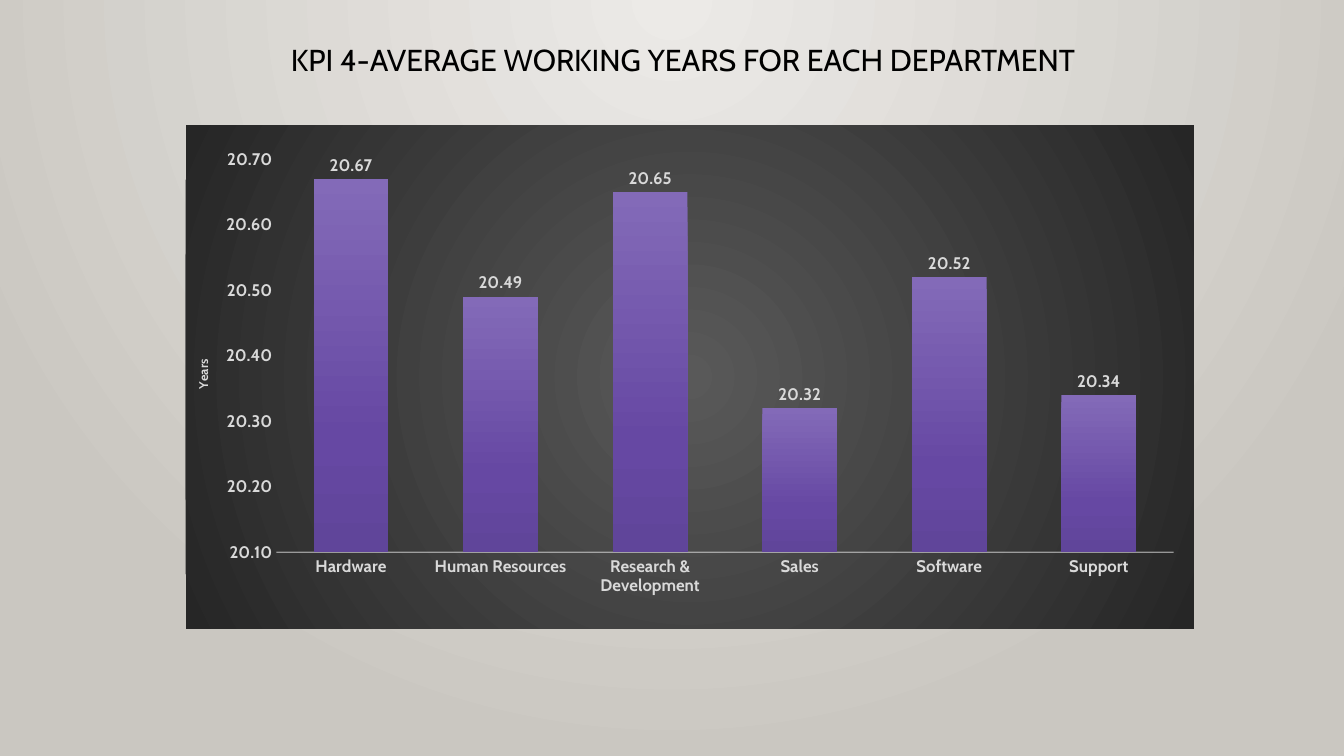
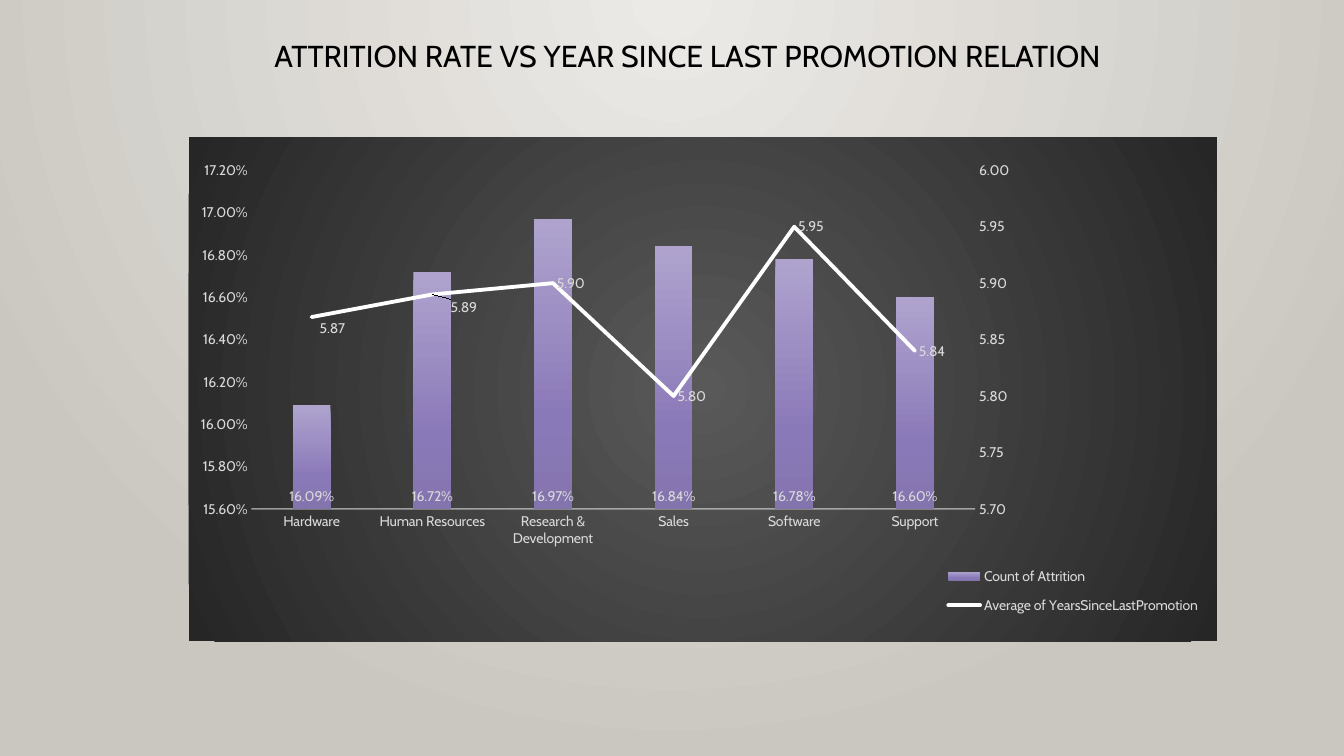
from pptx import Presentation
from pptx.chart.data import CategoryChartData
from pptx.dml.color import RGBColor
from pptx.enum.chart import XL_CHART_TYPE, XL_LABEL_POSITION, XL_LEGEND_POSITION, XL_MARKER_STYLE, XL_TICK_MARK
from pptx.enum.text import MSO_ANCHOR, MSO_AUTO_SIZE, PP_ALIGN
from pptx.oxml import parse_xml
from pptx.oxml.ns import nsdecls
from pptx.util import Inches, Pt

COLUMN = XL_CHART_TYPE.COLUMN_CLUSTERED
OUTSIDE_END = XL_LABEL_POSITION.OUTSIDE_END
INSIDE_BASE = XL_LABEL_POSITION.INSIDE_BASE
LABEL_RIGHT = XL_LABEL_POSITION.RIGHT
NO_TICK = XL_TICK_MARK.NONE

FONT = "Cabin"
BLACK, WHITE, LIGHT_GRAY, AXIS_GRAY = "000000", "FFFFFF", "D9D9D9", "F2F2F2"
BACKGROUND_STOPS = [(0, "ECEAE7"), (100, "CAC7C1")]
PANEL_STOPS = [(0, "595959"), (100, "262626")]
DEPARTMENTS = ["Hardware", "Human Resources", "Research & Development",
               "Sales", "Software", "Support"]
color = RGBColor.from_string


def gradient_fill(stops, center=None):
    """Return a gradFill: circular around center (l, t, r, b), or top to bottom."""
    stop_xml = "".join(
        f'<a:gs pos="{position * 1000}"><a:srgbClr val="{value}"/></a:gs>'
        for position, value in stops)
    if center:
        sides = " ".join(f'{side}="{share * 1000}"' for side, share in zip("ltrb", center))
        direction = f'<a:path path="circle"><a:fillToRect {sides}/></a:path>'
    else:
        direction = '<a:lin ang="5400000" scaled="0"/>'
    return parse_xml(f'<a:gradFill {nsdecls("a")} rotWithShape="1">'
                     f'<a:gsLst>{stop_xml}</a:gsLst>{direction}</a:gradFill>')


def manual_layout(x, y, width=None, height=None, inner=False, offset=False):
    """Return a chart layout in shares of the chart, or an offset from the default place."""
    parts = ['<c:layoutTarget val="inner"/>'] if inner else []
    if not offset:
        parts.append('<c:xMode val="edge"/><c:yMode val="edge"/>')
    parts.append(f'<c:x val="{x}"/><c:y val="{y}"/>')
    if width:
        parts.append(f'<c:w val="{width}"/><c:h val="{height}"/>')
    return parse_xml(f'<c:layout {nsdecls("c")}><c:manualLayout>{"".join(parts)}'
                     '</c:manualLayout></c:layout>')


slide_specs = [
    dict(title="KPI 4-AVERAGE WORKING YEARS FOR EACH DEPARTMENT",
         title_box=(1.71, 0.4, 10.13, 0.7), chart_box=(1.84, 1.24, 10, 5),
         series=[("Series 1", [20.67, 20.49, 20.65, 20.32, 20.52, 20.34], "0.00")],
         scale=(20.1, 20.7, 0.1), size=12, bold=True, gap=100, overlap=-24,
         plot_area=(0.09, 0.069, 0.89, 0.779), label_position=OUTSIDE_END,
         bar_stops=[(0, "836AB8"), (69, "6648A3"), (100, "60459A")]),
    dict(title="ATTRITION RATE VS YEAR SINCE LAST PROMOTION RELATION",
         title_box=(1.57, 0.36, 10.5, 0.8), chart_box=(1.87, 1.36, 10.2, 5),
         series=[("Count of Attrition",
                  [0.1609, 0.1672, 0.1697, 0.1684, 0.1678, 0.166], "0.00%"),
                 ("Average of YearsSinceLastPromotion",
                  [5.87, 5.89, 5.9, 5.8, 5.95, 5.84], "0.00")],
         scale=(0.156, 0.172, 0.002), size=10, bold=False, gap=219, overlap=-27,
         plot_area=(0.061, 0.066, 0.704, 0.672), label_position=INSIDE_BASE,
         bar_stops=[(0, "AFA3CE"), (69, "8A79B8"), (100, "8474AE")]),
]

presentation = Presentation()
presentation.slide_width = Inches(13.33)
presentation.slide_height = Inches(7.5)
master = presentation.slide_master
master.background.fill.gradient()
master_fill = master.element.xpath("p:cSld/p:bg/p:bgPr/a:gradFill")[0]
master_fill.getparent().replace(master_fill, gradient_fill(BACKGROUND_STOPS, (43, 0, 43, 100)))
title_only = presentation.slide_layouts[5]

charts = []
for details in slide_specs:
    slide = presentation.slides.add_slide(title_only)
    title = slide.shapes.title
    title.left, title.top, title.width, title.height = map(Inches, details["title_box"])
    frame = title.text_frame
    frame.auto_size = MSO_AUTO_SIZE.NONE
    frame.vertical_anchor = MSO_ANCHOR.TOP
    paragraph = frame.paragraphs[0]
    paragraph.alignment = PP_ALIGN.CENTER
    paragraph.line_spacing = 0.9
    run = paragraph.add_run()
    run.text = details["title"]
    run.font.name, run.font.size = FONT, Pt(21.6)
    run.font.color.rgb = color(BLACK)

    chart_data = CategoryChartData()
    chart_data.categories = DEPARTMENTS
    for name, values, number_format in details["series"]:
        chart_data.add_series(name, values, number_format)
    chart = slide.shapes.add_chart(
        COLUMN, *map(Inches, details["chart_box"]), chart_data).chart
    charts.append(chart)
    chart.has_title = False
    chart.has_legend = False
    chart.font.name, chart.font.size = FONT, Pt(details["size"])
    chart.font.bold = details["bold"]
    chart.font.color.rgb = color(LIGHT_GRAY)

    panel = parse_xml(f'<c:spPr {nsdecls("c", "a")}><a:ln><a:noFill/></a:ln></c:spPr>')
    panel.insert(0, gradient_fill(PANEL_STOPS, (50, 50, 50, 50)))
    chart.element.xpath("c:txPr")[0].addprevious(panel)
    plot_area = chart.element.xpath("c:chart/c:plotArea")[0]
    for layout in plot_area.xpath("c:layout"):
        plot_area.remove(layout)
    plot_area.insert(0, manual_layout(*details["plot_area"], inner=True))

    value_axis, category_axis = chart.value_axis, chart.category_axis
    for axis in (value_axis, category_axis):
        axis.has_major_gridlines = False
        axis.major_tick_mark = axis.minor_tick_mark = NO_TICK
    value_axis.minimum_scale, value_axis.maximum_scale, value_axis.major_unit = details["scale"]
    value_axis.format.line.fill.background()
    bar_format = details["series"][0][2]
    value_axis.tick_labels.number_format = bar_format
    value_axis.tick_labels.number_format_is_linked = False
    axis_line = category_axis.format.line
    axis_line.width = Pt(1)
    axis_line.color.rgb = color(AXIS_GRAY)
    line_color = plot_area.xpath("c:catAx/c:spPr/a:ln//a:srgbClr")[0]
    line_color.append(parse_xml(f'<a:alpha {nsdecls("a")} val="54000"/>'))

    plot = chart.plots[0]
    plot.vary_by_categories = False
    plot.gap_width, plot.overlap = details["gap"], details["overlap"]
    bars = plot.series[0]
    bars.format.fill.gradient()
    bar_fill = plot_area.xpath("c:barChart/c:ser[1]/c:spPr/a:gradFill")[0]
    bar_fill.getparent().replace(bar_fill, gradient_fill(details["bar_stops"]))
    labels = bars.data_labels
    labels.show_value = True
    labels.position = details["label_position"]
    labels.number_format, labels.number_format_is_linked = bar_format, False

years_chart, attrition_chart = charts

axis_title = years_chart.value_axis.axis_title
run = axis_title.text_frame.paragraphs[0].add_run()
run.text = "Years"
run.font.name, run.font.size, run.font.bold = FONT, Pt(9), True
run.font.color.rgb = color(LIGHT_GRAY)
title_element = years_chart.element.xpath(".//c:valAx/c:title")[0]
for layout in title_element.xpath("c:layout"):
    title_element.remove(layout)
title_element.xpath("c:tx")[0].addnext(manual_layout(0.006, 0.46))

# The promotion series becomes a line on a second value axis.
plot_area = attrition_chart.element.xpath("c:chart/c:plotArea")[0]
bar_chart = plot_area.xpath("c:barChart")[0]
promotion = bar_chart.xpath("c:ser")[1]
for bar_only in promotion.xpath("c:invertIfNegative"):
    promotion.remove(bar_only)
line_chart = parse_xml(
    f'<c:lineChart {nsdecls("c")}><c:grouping val="standard"/><c:varyColors val="0"/>'
    '<c:marker val="1"/><c:axId val="5001"/><c:axId val="5002"/></c:lineChart>')
line_chart.insert(2, promotion)
bar_chart.addnext(line_chart)
right_axis = parse_xml(
    f'<c:valAx {nsdecls("c", "a")}><c:axId val="5002"/>'
    '<c:scaling><c:orientation val="minMax"/><c:max val="6"/><c:min val="5.7"/></c:scaling>'
    '<c:delete val="0"/><c:axPos val="r"/><c:numFmt formatCode="0.00" sourceLinked="0"/>'
    '<c:majorTickMark val="none"/><c:minorTickMark val="none"/><c:tickLblPos val="nextTo"/>'
    '<c:spPr><a:ln><a:noFill/></a:ln></c:spPr>'
    '<c:crossAx val="5001"/><c:crosses val="max"/><c:majorUnit val="0.05"/></c:valAx>')
hidden_axis = parse_xml(
    f'<c:catAx {nsdecls("c")}><c:axId val="5001"/>'
    '<c:scaling><c:orientation val="minMax"/></c:scaling>'
    '<c:delete val="1"/><c:axPos val="b"/><c:crossAx val="5002"/></c:catAx>')
left_axis = plot_area.xpath("c:valAx")[0]
left_axis.addnext(right_axis)
right_axis.addnext(hidden_axis)

line_series = attrition_chart.plots[1].series[0]
line_series.smooth = False
line_series.marker.style = XL_MARKER_STYLE.NONE
line_series.format.line.width = Pt(2.75)
line_series.format.line.color.rgb = color(WHITE)
promotion.xpath("c:spPr/a:ln")[0].set("cap", "rnd")
labels = line_series.data_labels
labels.show_value = True
labels.position = LABEL_RIGHT
labels.number_format, labels.number_format_is_linked = "0.00", False
for index, offset in enumerate([(0.004, 0.022), (0.014, 0.026)]):
    point_label = line_series.points[index].data_label
    point_label.position = LABEL_RIGHT
    point_label.font.name, point_label.font.size = FONT, Pt(10)
    point_label.font.color.rgb = color(LIGHT_GRAY)
    index_element = promotion.xpath("c:dLbls/c:dLbl/c:idx")[index]
    index_element.addnext(manual_layout(*offset, offset=True))

attrition_chart.has_legend = True
legend = attrition_chart.legend
legend.position = XL_LEGEND_POSITION.RIGHT
legend.include_in_layout = False
legend_element = attrition_chart.element.xpath("c:chart/c:legend")[0]
for layout in legend_element.xpath("c:layout"):
    legend_element.remove(layout)
legend_element.xpath("c:legendPos")[0].addnext(manual_layout(0.725, 0.83, 0.27, 0.14))

presentation.save("out.pptx")
